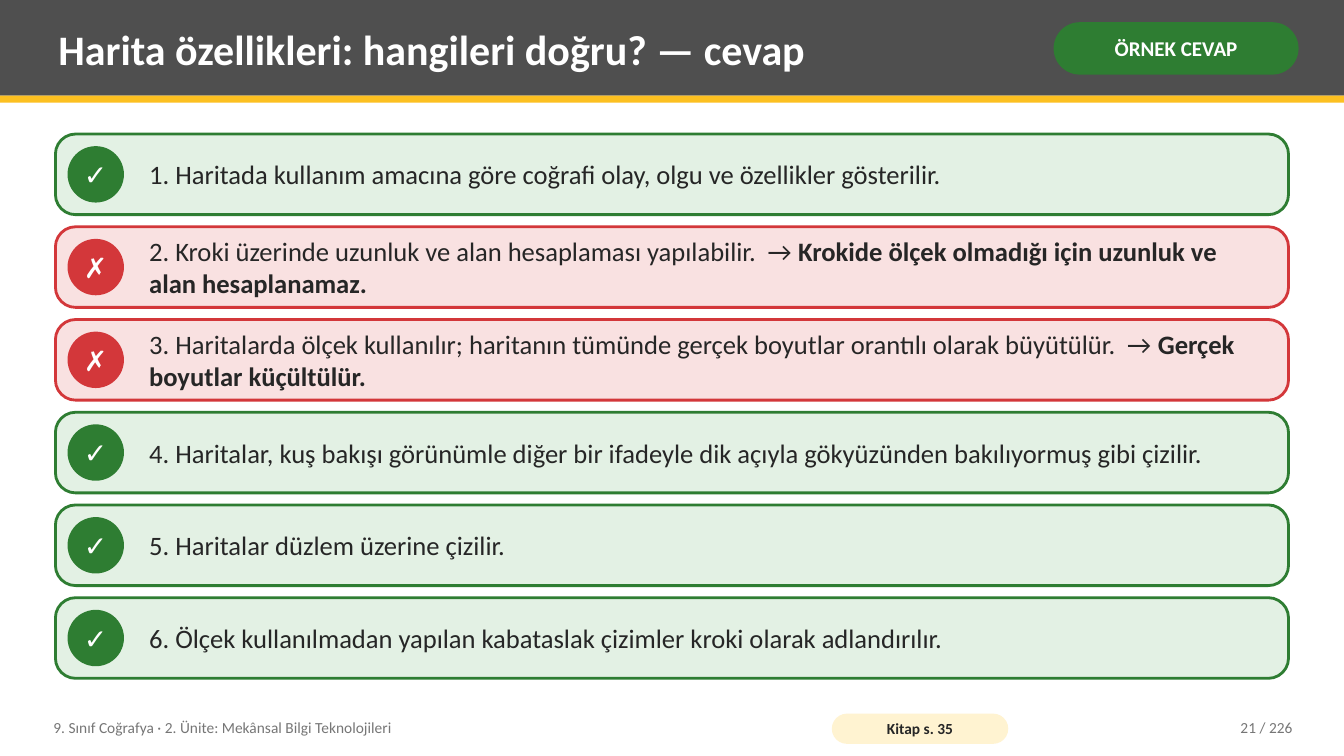
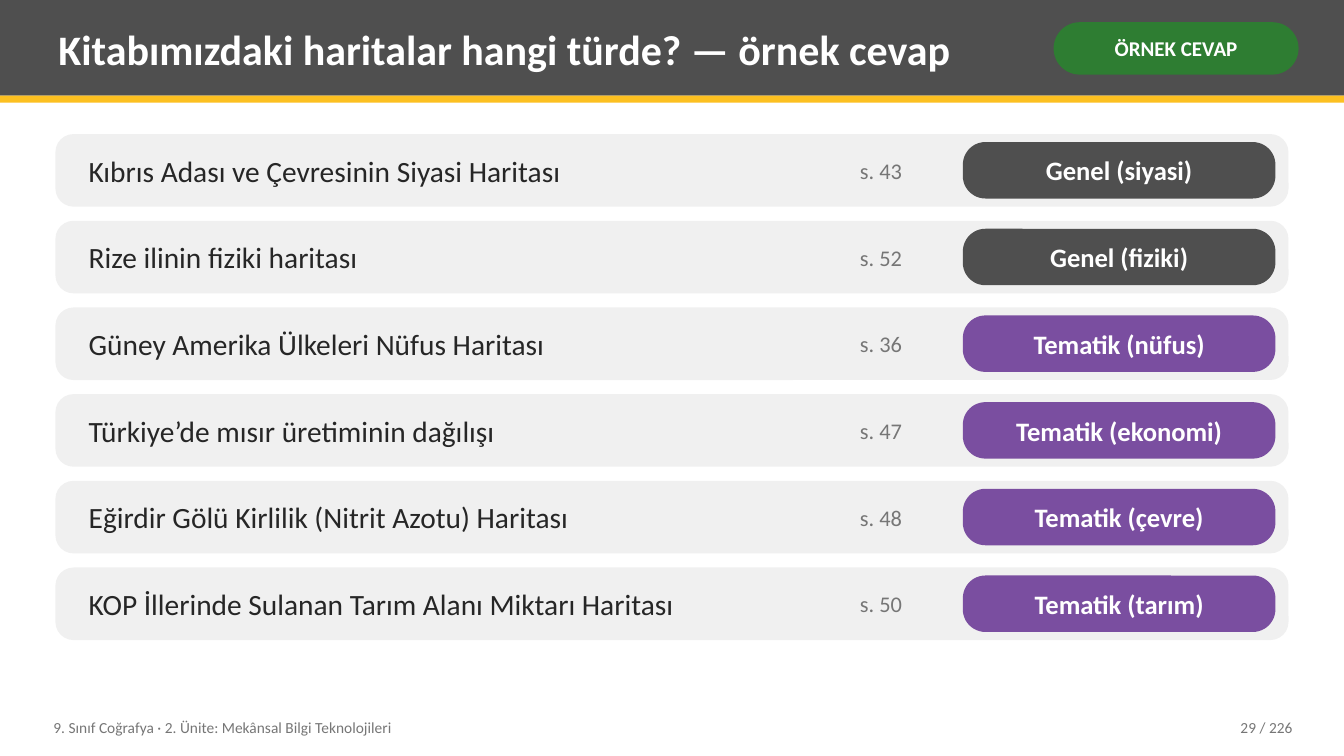
from pptx import Presentation
from pptx.dml.color import RGBColor
from pptx.enum.shapes import MSO_SHAPE
from pptx.enum.text import MSO_ANCHOR, PP_ALIGN
from pptx.util import Inches, Pt

COLORS = {
    "white": "FFFFFF", "ink": "262626", "muted": "767676",
    "charcoal": "4F4F4F", "gold": "FCC021", "cream": "FFF3D1",
    "green": "2E7D32", "pale_green": "E3F1E4",
    "red": "D3373A", "pale_red": "F9E1E1",
    "purple": "7A4EA0", "row_gray": "F0F0F0",
}
TEXT_STYLES = {
    "title": {"size": Pt(30), "bold": True, "color": "white"},
    "badge": {"size": Pt(15), "bold": True, "color": "white"},
    "mark": {"size": Pt(20), "bold": True, "color": "white"},
    "statement": {"size": Pt(19), "bold": False, "color": "ink"},
    "correction": {"size": Pt(19), "bold": True, "color": "ink"},
    "map_name": {"size": Pt(21), "bold": False, "color": "ink"},
    "page": {"size": Pt(16), "bold": False, "color": "muted"},
    "map_type": {"size": Pt(19), "bold": True, "color": "white"},
    "footer": {"size": Pt(11), "bold": False, "color": "muted"},
    "book_page": {"size": Pt(11), "bold": True, "color": "ink"},
}


def add_panel(slide, kind, box, fill, line=None, rounding=None):
    shape = slide.shapes.add_shape(kind, *map(Inches, box))
    shape.shadow.inherit = False
    shape.fill.solid()
    shape.fill.fore_color.rgb = RGBColor.from_string(COLORS[fill])
    if line:
        shape.line.color.rgb = RGBColor.from_string(COLORS[line])
        shape.line.width = Pt(2)
    else:
        shape.line.fill.background()
    if rounding is not None:
        shape.adjustments[0] = rounding
    return shape


def write_text(shape, runs, align=PP_ALIGN.LEFT, insets=(0.08, 0.04), wrap=True):
    horizontal, vertical = map(Inches, insets)
    frame = shape.text_frame
    frame_format = {
        "word_wrap": wrap, "vertical_anchor": MSO_ANCHOR.MIDDLE,
        "margin_left": horizontal, "margin_right": horizontal,
        "margin_top": vertical, "margin_bottom": vertical,
    }
    for name, value in frame_format.items():
        setattr(frame, name, value)
    paragraph = frame.paragraphs[0]
    paragraph.alignment = align
    for text, style in runs:
        run = paragraph.add_run()
        run.text = text
        run.font.name = "Calibri"
        for name, value in TEXT_STYLES[style].items():
            if name == "color":
                run.font.color.rgb = RGBColor.from_string(COLORS[value])
            else:
                setattr(run.font, name, value)


presentation = Presentation()
presentation.slide_width = Inches(13.33)
presentation.slide_height = Inches(7.5)

ROW_LEFT, ROW_TOP, ROW_WIDTH = 0.55, 1.33, 12.23
COURSE = "9. Sınıf Coğrafya · 2. Ünite: Mekânsal Bilgi Teknolojileri"
TITLES = [
    ("Harita özellikleri: hangileri doğru? — cevap", 21),
    ("Kitabımızdaki haritalar hangi türde? — örnek cevap", 29),
]

slides = []
for title, number in TITLES:
    slide = presentation.slides.add_slide(presentation.slide_layouts[6])
    add_panel(slide, MSO_SHAPE.RECTANGLE, (0, 0, 13.33, 0.95), "charcoal")
    add_panel(slide, MSO_SHAPE.RECTANGLE, (0, 0.95, 13.33, 0.07), "gold")
    badge = add_panel(slide, MSO_SHAPE.ROUNDED_RECTANGLE, (10.45, 0.22, 2.43, 0.52), "green", rounding=0.5)
    write_text(badge, [("ÖRNEK CEVAP", "badge")], PP_ALIGN.CENTER, (0.05, 0.02))
    for box, text, style, align in [
        ((0.5, 0.07, 9.75, 0.82), title, "title", PP_ALIGN.LEFT),
        ((0.45, 7.04, 7.6, 0.36), COURSE, "footer", PP_ALIGN.LEFT),
        ((11.3, 7.04, 1.6, 0.36), f"{number} / 226", "footer", PP_ALIGN.RIGHT),
    ]:
        write_text(slide.shapes.add_textbox(*map(Inches, box)), [(text, style)], align)
    slides.append(slide)

statement_slide, map_slide = slides

STATEMENTS = [
    ("Haritada kullanım amacına göre coğrafi olay, olgu ve özellikler gösterilir.", None),
    ("Kroki üzerinde uzunluk ve alan hesaplaması yapılabilir.",
     "Krokide ölçek olmadığı için uzunluk ve alan hesaplanamaz."),
    ("Haritalarda ölçek kullanılır; haritanın tümünde gerçek boyutlar orantılı olarak büyütülür.",
     "Gerçek boyutlar küçültülür."),
    ("Haritalar, kuş bakışı görünümle diğer bir ifadeyle dik açıyla gökyüzünden bakılıyormuş gibi çizilir.", None),
    ("Haritalar düzlem üzerine çizilir.", None),
    ("Ölçek kullanılmadan yapılan kabataslak çizimler kroki olarak adlandırılır.", None),
]
for index, (statement, correction) in enumerate(STATEMENTS):
    top = ROW_TOP + index * 0.92
    color, mark = ("red", "✗") if correction else ("green", "✓")
    add_panel(statement_slide, MSO_SHAPE.ROUNDED_RECTANGLE, (ROW_LEFT, top, ROW_WIDTH, 0.8),
              f"pale_{color}", color, 0.25)
    circle = add_panel(statement_slide, MSO_SHAPE.OVAL, (0.67, top + 0.12, 0.56, 0.56), color)
    write_text(circle, [(mark, "mark")], PP_ALIGN.CENTER, (0, 0), False)
    runs = [(f"{index + 1}. {statement}", "statement")]
    if correction:
        runs += [("  → ", "statement"), (correction, "correction")]
    write_text(statement_slide.shapes.add_textbox(*map(Inches, (1.4, top, 11.23, 0.8))), runs)

book_page = add_panel(statement_slide, MSO_SHAPE.ROUNDED_RECTANGLE, (8.25, 7.08, 1.75, 0.3), "cream", rounding=0.5)
write_text(book_page, [("Kitap s. 35", "book_page")], PP_ALIGN.CENTER, (0.04, 0))

MAPS = [
    ("Kıbrıs Adası ve Çevresinin Siyasi Haritası", 43, "Genel (siyasi)"),
    ("Rize ilinin fiziki haritası", 52, "Genel (fiziki)"),
    ("Güney Amerika Ülkeleri Nüfus Haritası", 36, "Tematik (nüfus)"),
    ("Türkiye’de mısır üretiminin dağılışı", 47, "Tematik (ekonomi)"),
    ("Eğirdir Gölü Kirlilik (Nitrit Azotu) Haritası", 48, "Tematik (çevre)"),
    ("KOP İllerinde Sulanan Tarım Alanı Miktarı Haritası", 50, "Tematik (tarım)"),
]
for index, (map_name, page, map_type) in enumerate(MAPS):
    top = ROW_TOP + index * 0.86
    add_panel(map_slide, MSO_SHAPE.ROUNDED_RECTANGLE, (ROW_LEFT, top, ROW_WIDTH, 0.72), "row_gray", rounding=0.25)
    for left, width, text, style in [
        (0.8, 7.6, map_name, "map_name"),
        (8.45, 1, f"s. {page}", "page"),
    ]:
        write_text(map_slide.shapes.add_textbox(*map(Inches, (left, top, width, 0.72))), [(text, style)])
    color = "charcoal" if map_type.startswith("Genel") else "purple"
    pill = add_panel(map_slide, MSO_SHAPE.ROUNDED_RECTANGLE, (9.55, top + 0.08, 3.1, 0.56), color, rounding=0.4)
    write_text(pill, [(map_type, "map_type")], PP_ALIGN.CENTER, (0.14, 0))

presentation.save("out.pptx")
